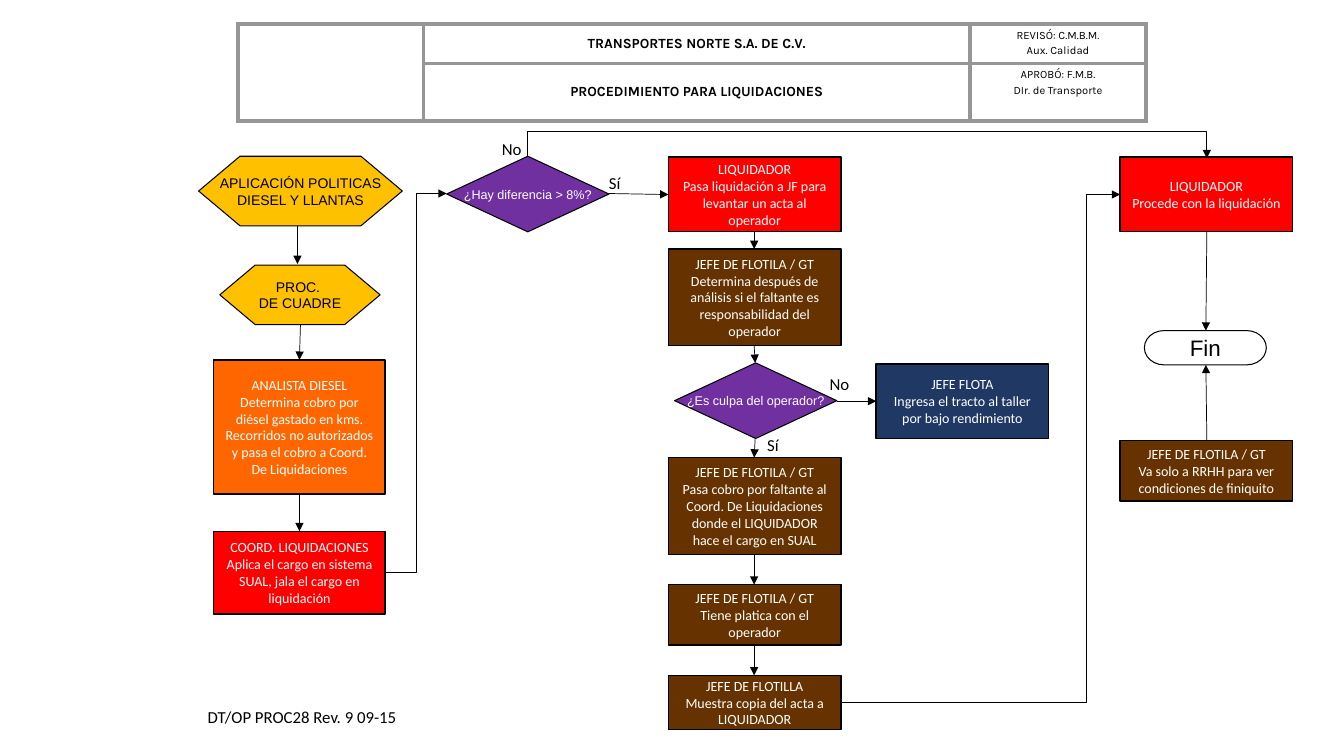
from pptx import Presentation
from pptx.dml.color import RGBColor
from pptx.enum.shapes import MSO_CONNECTOR as CONN, MSO_SHAPE as SHAPE
from pptx.enum.text import MSO_ANCHOR as ANCHOR, MSO_AUTO_SIZE as AUTO, PP_ALIGN as ALIGN
from pptx.oxml import parse_xml
from pptx.oxml.ns import nsdecls, qn
from pptx.util import Inches, Pt
from lxml.etree import SubElement

COLORS = {
    "black": "000000", "white": "FFFFFF", "gold": "FFC000", "orange": "FF6600",
    "red": "FF0000", "purple": "7030A0", "brown": "663300", "navy": "203864",
    "gray": "969696",
}
JEFE = "JEFE DE FLOTILA / GT"
STEP_W = 1.71
MID_X, END_X = 6.63, 11.11
STEPS = [  # left, top, width, height, colour, role, task
    (2.12, 3.57, 1.7, 1.33, "orange", "ANALISTA DIESEL",
     "Determina cobro por diésel gastado en kms. Recorridos no autorizados "
     "y pasa el cobro a Coord. De Liquidaciones"),
    (2.12, 5.27, 1.7, 0.82, "red", "COORD. LIQUIDACIONES",
     "Aplica el cargo en sistema SUAL, jala el cargo en liquidación"),
    (MID_X, 1.56, STEP_W, 0.74, "red", "LIQUIDADOR",
     "Pasa liquidación a JF para levantar un acta al operador"),
    (MID_X, 2.47, STEP_W, 0.96, "brown", JEFE,
     "Determina después de análisis si el faltante es responsabilidad del operador"),
    (MID_X, 4.54, STEP_W, 0.96, "brown", JEFE,
     "Pasa cobro por faltante al Coord. De Liquidaciones donde el LIQUIDADOR "
     "hace el cargo en SUAL"),
    (MID_X, 5.8, STEP_W, 0.6, "brown", JEFE, "Tiene platica con el operador"),
    (MID_X, 6.7, STEP_W, 0.54, "brown", "JEFE DE FLOTILLA",
     "Muestra copia del acta a LIQUIDADOR"),
    (END_X, 1.56, STEP_W, 0.74, "red", "LIQUIDADOR", "Procede con la liquidación"),
    (END_X, 4.37, STEP_W, 0.6, "brown", JEFE,
     "Va solo a RRHH para ver condiciones de finiquito"),
    (8.69, 3.61, STEP_W, 0.74, "navy", "JEFE FLOTA",
     "Ingresa el tracto al taller por bajo rendimiento"),
]
ARROWS = [  # from x, from y, to x, to y
    (2.95, 2.24, 2.95, 2.62), (2.98, 3.22, 2.97, 3.57), (2.97, 4.9, 2.97, 5.27),
    (6.04, 1.92, 6.63, 1.93), (7.48, 2.3, 7.48, 2.47), (7.48, 3.43, 7.49, 3.6),
    (7.49, 4.35, 7.48, 4.54), (7.48, 5.5, 7.48, 5.8), (7.48, 6.4, 7.48, 6.7),
    (8.3, 3.98, 8.69, 3.98), (11.97, 2.3, 11.96, 3.28), (11.97, 4.37, 11.96, 3.62),
]
LABELS = [  # left, top, width, text
    (5.94, 1.66, 0.39, "Sí"), (7.51, 4.26, 0.39, "Sí"), (8.13, 3.66, 0.43, "No"),
    (4.88, 1.33, 0.43, "No"), (1.96, 6.96, 2.25, "DT/OP PROC28 Rev. 9 09-15"),
]
HEADER = [  # row, column, size, bold, lines
    (0, 1, 10, True, ["TRANSPORTES NORTE S.A. DE C.V."]),
    (0, 2, 8, False, ["REVISÓ: C.M.B.M.", "Aux. Calidad"]),
    (1, 1, 10, True, ["PROCEDIMIENTO PARA LIQUIDACIONES"]),
    (1, 2, 8, False, ["APROBÓ: F.M.B.", "DIr. de Transporte"]),
]


def rgb(name):
    return RGBColor.from_string(COLORS[name])


class FlowSlide:
    def __init__(self, slide):
        self.shapes = slide.shapes

    def add_text(self, tf, paragraphs, size, font, color, align=ALIGN.CENTER,
                 bold=False, before=0):
        """Fill a text frame; a newline inside a paragraph is a line break."""
        for i, text in enumerate(paragraphs):
            p = tf.add_paragraph() if i else tf.paragraphs[0]
            p.alignment = align
            p.space_before = Pt(before)
            for j, line in enumerate(text.split("\n")):
                if j:
                    p.add_line_break()
                r = p.add_run()
                r.text = line
                r.font.size, r.font.name, r.font.bold = Pt(size), font, bold
                r.font.color.rgb = rgb(color)

    def node(self, kind, box, fill, paragraphs, size=10, font="Arial",
             color="white", line=0.75, wrap=True):
        sp = self.shapes.add_shape(kind, *map(Inches, box))
        sp.shadow.inherit = False
        if fill:
            sp.fill.solid()
            sp.fill.fore_color.rgb = rgb(fill)
        else:
            sp.fill.background()
        sp.line.color.rgb = rgb("black")
        sp.line.width = Pt(line)
        sp.text_frame.word_wrap = wrap
        sp.text_frame.vertical_anchor = ANCHOR.MIDDLE
        self.add_text(sp.text_frame, paragraphs, size, font, color)
        return sp

    def step(self, x, y, w, h, fill, role, task):
        self.node(SHAPE.RECTANGLE, (x, y, w, h), fill, [role, task],
                  font="Calibri", line=1)

    def process(self, box, text):
        sp = self.node(SHAPE.HEXAGON, box, "gold", [text], color="black", wrap=False)
        sp.adjustments[0] = 0.594

    def decision(self, x, y, text):
        self.node(SHAPE.DIAMOND, (x, y, 1.61, 0.75), "purple", [text], size=9, wrap=False)

    def label(self, x, y, w, text):
        sp = self.shapes.add_textbox(*map(Inches, (x, y, w, 0.3)))
        sp.text_frame.word_wrap = True
        sp.text_frame.auto_size = AUTO.SHAPE_TO_FIT_TEXT
        self.add_text(sp.text_frame, [text], 12, "Calibri", "black", ALIGN.LEFT)

    def arrow(self, ends, kind=CONN.STRAIGHT, bend=None):
        """Draw an arrow; bend places an elbow as a share of its width."""
        cx = self.shapes.add_connector(kind, *map(Inches, ends))
        cx.line.color.rgb = rgb("black")
        cx.line.width = Pt(0.5)
        sp_pr = cx._element.spPr
        SubElement(sp_pr.find(qn("a:ln")), qn("a:tailEnd"), type="triangle")
        SubElement(sp_pr, qn("a:effectLst"))
        if bend is not None:
            guides = sp_pr.find(qn("a:prstGeom")).get_or_add_avLst()
            SubElement(guides, qn("a:gd"), name="adj1", fmla=f"val {round(bend * 100000)}")
        return cx

    def overhead_arrow(self, start, end, rise):
        """Leave upwards from start, cross over and come down on end."""
        (x1, y1), (x2, y2) = start, end
        w, h = y2 - y1, x2 - x1
        left, top = (x1 + x2 - w) / 2, (y1 + y2 - h) / 2
        cx = self.arrow((left + w, top, left, top + h), CONN.ELBOW, -rise / w)
        cx._element.spPr.find(qn("a:xfrm")).set("rot", str(270 * 60000))

    def header(self, box, widths, heights, entries):
        table = self.shapes.add_table(len(heights), len(widths), *map(Inches, box)).table
        table.first_row = table.horz_banding = False
        for column, width in zip(table.columns, widths):
            column.width = Inches(width)
        for row, height in zip(table.rows, heights):
            row.height = Inches(height)
        for cell in table.iter_cells():
            cell.fill.background()
            tc_pr = cell._tc.get_or_add_tcPr()
            for i, side in enumerate("LRTB"):
                tc_pr.insert(i, parse_xml(
                    f'<a:ln{side} {nsdecls("a")} w="{Pt(3)}"><a:solidFill>'
                    f'<a:srgbClr val="{COLORS["gray"]}"/></a:solidFill></a:ln{side}>'))
        table.cell(0, 0).merge(table.cell(1, 0))
        for row, col, size, bold, lines in entries:
            cell = table.cell(row, col)
            cell.vertical_anchor = ANCHOR.MIDDLE if bold else ANCHOR.TOP
            self.add_text(cell.text_frame, lines, size, "Karla", "black",
                          bold=bold, before=size * 0.2)


def main():
    prs = Presentation()
    prs.slide_width, prs.slide_height = Inches(13.33), Inches(7.5)
    s = FlowSlide(prs.slides.add_slide(prs.slide_layouts[6]))

    s.header((2.36, 0.24, 9.01, 0.96), (1.84, 5.42, 1.75), (0.39, 0.57), HEADER)
    s.process((1.97, 1.55, 2.02, 0.69), "APLICACIÓN POLITICAS\nDIESEL Y LLANTAS")
    s.process((2.18, 2.63, 1.59, 0.59), "PROC. \nDE CUADRE")
    for step in STEPS:
        s.step(*step)
    s.decision(4.43, 1.55, "¿Hay diferencia > 8%?")
    s.decision(6.69, 3.6, "¿Es culpa del operador?")
    s.node(SHAPE.FLOWCHART_TERMINATOR, (11.35, 3.28, 1.21, 0.34), None, ["Fin"],
           size=16, color="black")

    for ends in ARROWS:
        s.arrow(ends)
    s.arrow((3.82, 5.68, 4.43, 1.92), CONN.ELBOW, 0.5)
    s.arrow((8.34, 6.97, 11.11, 1.93), CONN.ELBOW, 0.88)
    s.overhead_arrow((5.23, 1.55), (11.97, 1.57), 0.25)
    for label in LABELS:
        s.label(*label)
    prs.save("out.pptx")


if __name__ == "__main__":
    main()
